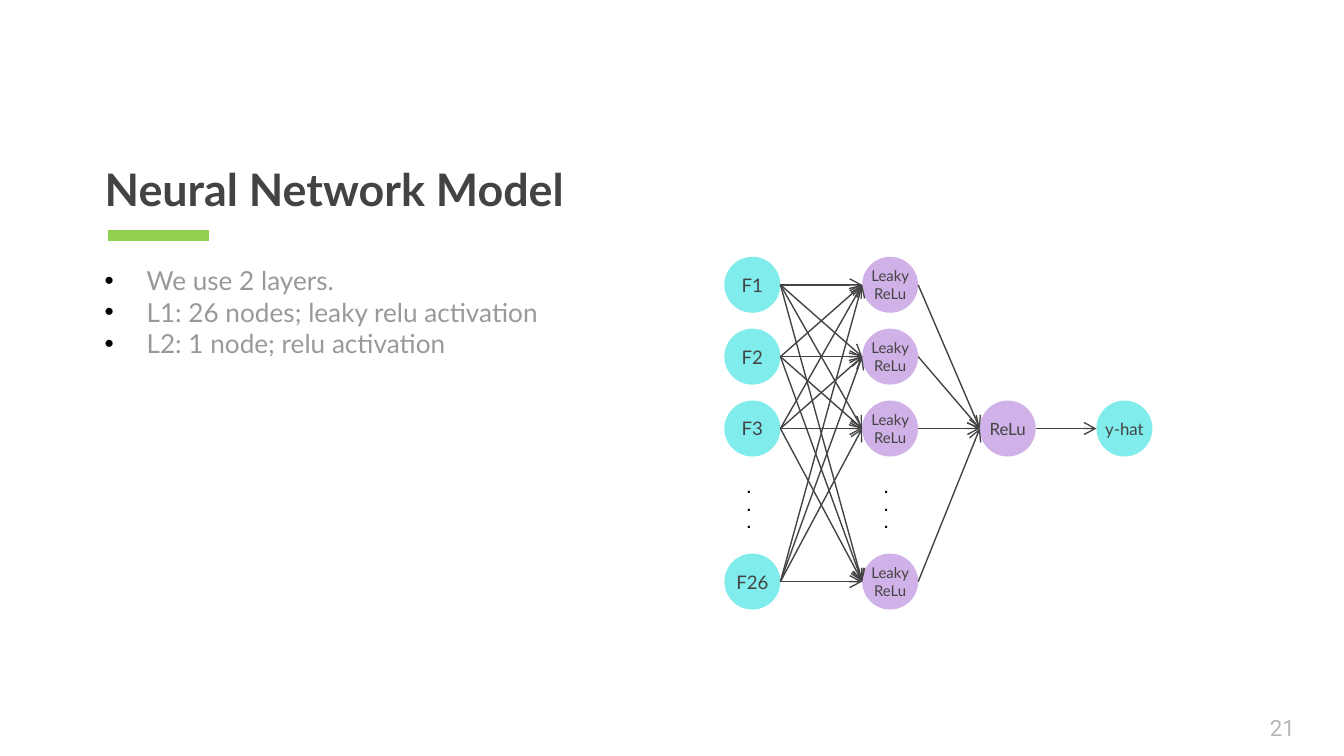
from itertools import product

from lxml import etree
from pptx import Presentation
from pptx.dml.color import RGBColor
from pptx.enum.shapes import MSO_CONNECTOR, MSO_SHAPE
from pptx.enum.text import MSO_ANCHOR, PP_ALIGN
from pptx.oxml.ns import qn
from pptx.util import Pt

STRAIGHT = MSO_CONNECTOR.STRAIGHT
ELLIPSE = MSO_SHAPE.OVAL
TOP, MIDDLE, BOTTOM = MSO_ANCHOR.TOP, MSO_ANCHOR.MIDDLE, MSO_ANCHOR.BOTTOM
CENTER = PP_ALIGN.CENTER

COLORS = {
    "accent": "92D050", "dark": "434343", "body": "999999", "number": "B7B7B7",
    "black": "000000", "cyan": "81ECEC", "purple": "D1B2E8",
}

# Content
TITLE = "Neural Network Model"
BULLETS = [
    "We use 2 layers.",
    "L1: 26 nodes; leaky relu activation",
    "L2: 1 node; relu activation",
]
PAGE = "21"
DOTS = [".", ".", "."]

# Network layout: centre rows, and layers as (left, fill, font size, {row: label})
NODE = 30
ROWS = [152.6, 191.1, 229.6, 311.6]
LAYERS = [
    (388.1, "cyan", 10, dict(enumerate(["F1", "F2", "F3", "F26"]))),
    (461.9, "purple", 8, dict.fromkeys(range(4), "Leaky ReLu")),
    (524.9, "purple", 9, {2: "ReLu"}),
    (587.4, "cyan", 9, {2: "y-hat"}),
]

prs = Presentation()
prs.slide_width, prs.slide_height = Pt(720), Pt(405)
s = prs.slides.add_slide(prs.slide_layouts[6])


def rgb(name):
    return RGBColor.from_string(COLORS[name])


def fill_text(sp, lines, size, color, font="Lato", bold=False, anchor=TOP,
              inset=(7.2, 7.2), wrap=True):
    tf = sp.text_frame
    tf.text = "\n".join(lines)
    tf.word_wrap = wrap
    tf.vertical_anchor = anchor
    tf.margin_left = tf.margin_right = Pt(inset[0])
    tf.margin_top = tf.margin_bottom = Pt(inset[1])
    for p in tf.paragraphs:
        for r in p.runs:
            r.font.size, r.font.name, r.font.bold = Pt(size), font, bold
            r.font.color.rgb = rgb(color)
    return tf


def add_text(box, lines, size, color, **style):
    return fill_text(s.shapes.add_textbox(*map(Pt, box)), lines, size, color, **style)


def add_line(x1, y1, x2, y2, color, width, arrow=False):
    line = s.shapes.add_connector(STRAIGHT, Pt(x1), Pt(y1), Pt(x2), Pt(y2))
    line.line.color.rgb = rgb(color)
    line.line.width = Pt(width)
    if arrow:
        etree.SubElement(line.line._get_or_add_ln(), qn("a:tailEnd"), type="arrow")
    etree.SubElement(line._element.spPr, qn("a:effectLst"))


# Title, accent bar and page number
add_line(58.1, 126, 111.9, 126, "accent", 6)
tf = add_text((49, 77, 281.5, 45.4), [TITLE], 24, "dark", bold=True, anchor=BOTTOM)
tf.paragraphs[0].line_spacing = 1.15
add_text((673.2, 374.2, 43.2, 31), [PAGE], 12, "number", font="Roboto", anchor=MIDDLE)

# Bullets
tf = add_text((49, 134.6, 263.5, 152.6), BULLETS, 14, "body")
for p in tf.paragraphs:
    pPr = p._p.get_or_add_pPr()
    pPr.set("marL", str(Pt(22.5)))
    pPr.set("indent", str(Pt(-22.5)))
    bullet_color = etree.SubElement(pPr, qn("a:buClr"))
    etree.SubElement(bullet_color, qn("a:srgbClr"), val=COLORS["black"])
    etree.SubElement(pPr, qn("a:buFont"), typeface="Arial")
    etree.SubElement(pPr, qn("a:buChar"), char="•")

# Nodes
for left, fill, size, labels in LAYERS:
    for row, label in labels.items():
        sp = s.shapes.add_shape(ELLIPSE, Pt(left), Pt(ROWS[row] - NODE / 2),
                                Pt(NODE), Pt(NODE))
        sp.shadow.inherit = False
        sp.fill.solid()
        sp.fill.fore_color.rgb = rgb(fill)
        sp.line.fill.background()
        tf = fill_text(sp, [label], size, "dark", anchor=MIDDLE, inset=(0, 0),
                       wrap=" " in label)
        tf.paragraphs[0].alignment = CENTER

# Every node feeds every node of the next layer
for source, target in zip(LAYERS, LAYERS[1:]):
    for i, j in product(source[3], target[3]):
        add_line(source[0] + NODE, ROWS[i], target[0], ROWS[j], "dark", 0.75, arrow=True)

# Dots for the omitted rows
for left in (393.1, 466.6):
    add_text((left, 252.7, 20, 36), DOTS, 8, "black", font="Arial", bold=True,
             inset=(7.2, 3.6))

prs.save("out.pptx")
